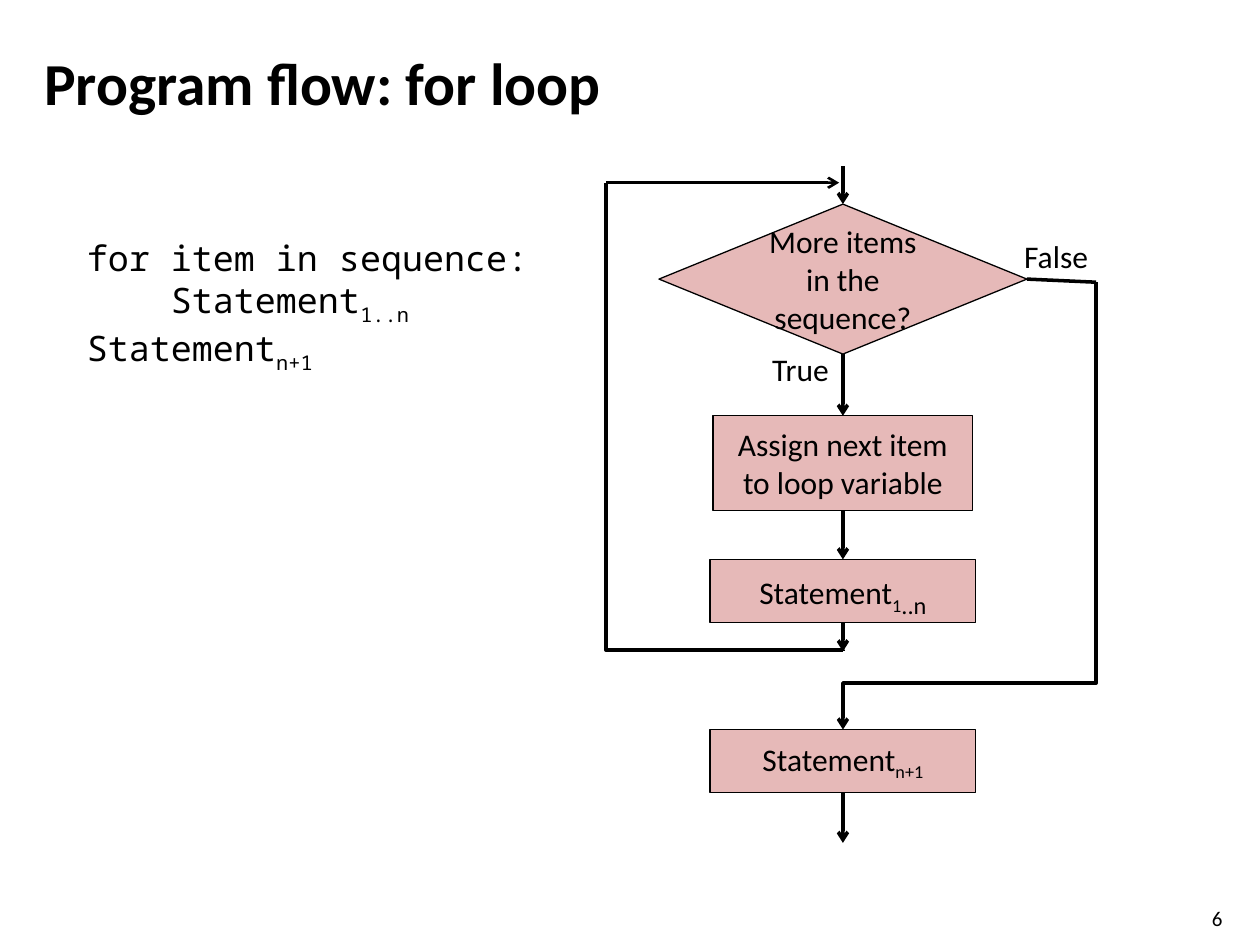
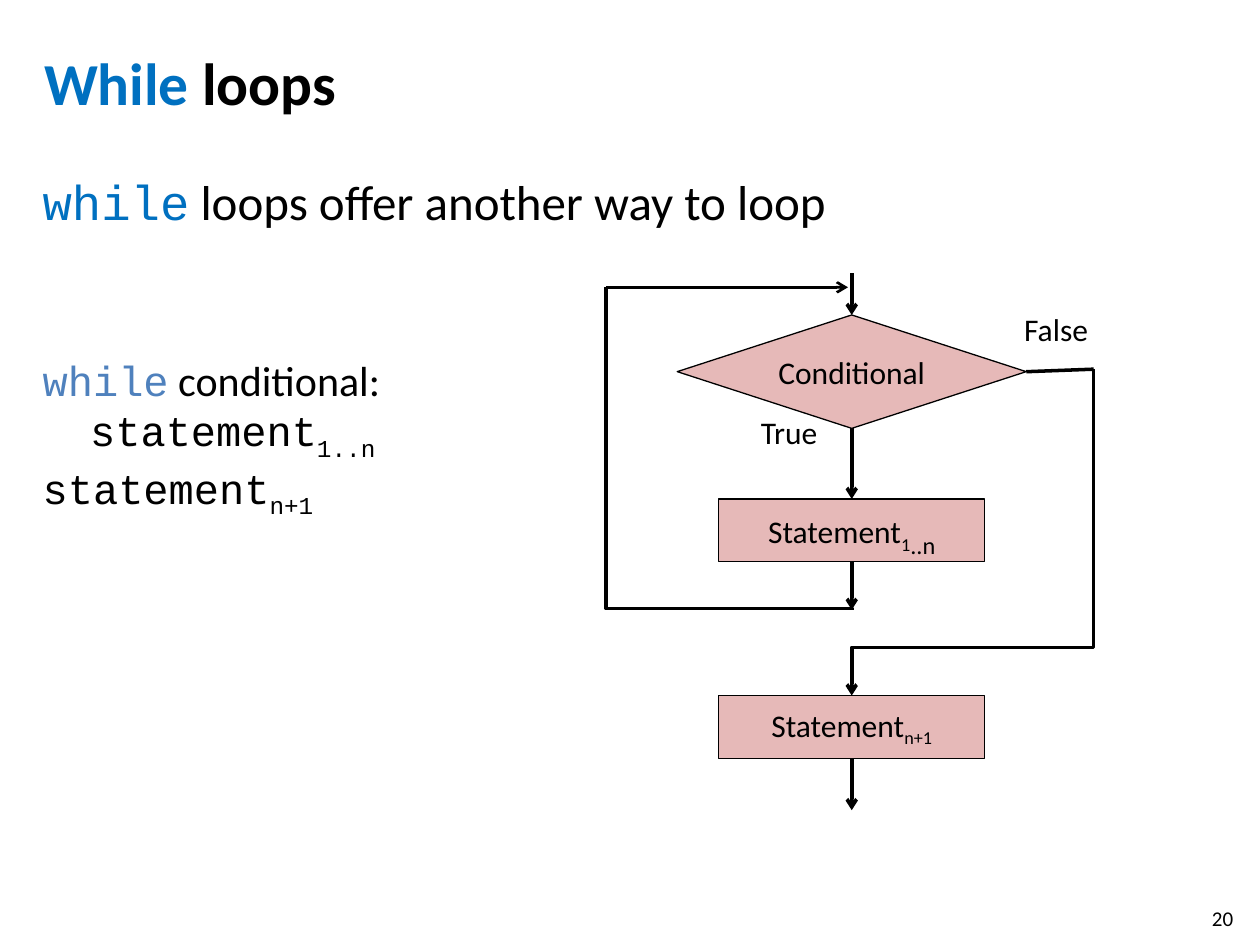
from dataclasses import dataclass

from lxml import etree
from pptx import Presentation
from pptx.dml.color import RGBColor
from pptx.enum.shapes import MSO_CONNECTOR, MSO_SHAPE
from pptx.enum.text import MSO_ANCHOR, PP_ALIGN
from pptx.oxml.ns import qn
from pptx.util import Inches, Pt

STRAIGHT, ELBOW = MSO_CONNECTOR.STRAIGHT, MSO_CONNECTOR.ELBOW
BOX, DECISION = MSO_SHAPE.RECTANGLE, MSO_SHAPE.FLOWCHART_DECISION
MIDDLE = MSO_ANCHOR.MIDDLE
LEFT, CENTER = PP_ALIGN.LEFT, PP_ALIGN.CENTER
TOP_SIDE, BOTTOM_SIDE, RIGHT_SIDE = 0, 2, 3
TITLE_ONLY = 5


@dataclass(frozen=True)
class Theme:
    ink: RGBColor = RGBColor(0, 0, 0)
    step_fill: RGBColor = RGBColor(0xE6, 0xB9, 0xB8)
    keyword: RGBColor = RGBColor(0x00, 0x70, 0xC0)
    code_keyword: RGBColor = RGBColor(0x4F, 0x81, 0xBD)
    font: str = "Calibri"
    code_font: str = "Noto Sans Mono"
    typewriter: str = "Courier New"
    title: int = 34
    lead: int = 28
    syntax: int = 24
    code: int = 20
    step: int = 18
    large_subscript: int = 24
    page_number: int = 12
    outline: float = 0.75
    return_arrow: float = 1.5
    flow: float = 2


THEME = Theme()


@dataclass(frozen=True)
class Part:
    """A piece of a line that differs from the rest of its paragraph."""
    text: str
    color: RGBColor = None
    font: str = None
    size: int = None
    subscript: bool = False


LOOP_STATEMENT = ["Statement", Part("1", subscript=True),
                  Part("..n", size=THEME.large_subscript, subscript=True)]
NEXT_STATEMENT = ["Statement", Part("n+1", subscript=True)]


# Text
def write_line(paragraph, parts, size, font=THEME.font, bold=False, align=LEFT):
    paragraph.alignment = align
    paragraph.font.name = font
    paragraph.font.size = Pt(size)
    paragraph.font.bold = bold
    paragraph.font.color.rgb = THEME.ink
    for part in parts:
        if isinstance(part, str):
            part = Part(part)
        run = paragraph.add_run()
        run.text = part.text
        if part.color is not None:
            run.font.color.rgb = part.color
        if part.font:
            run.font.name = part.font
        if part.size:
            run.font.size = Pt(part.size)
        if part.subscript:
            run._r.get_or_add_rPr().set("baseline", "-25000")


def add_text(slide, left, top, width, height, lines, size, font=THEME.font):
    box = slide.shapes.add_textbox(Inches(left), Inches(top), Inches(width), Inches(height))
    frame = box.text_frame
    frame.word_wrap = True
    for index, parts in enumerate(lines):
        paragraph = frame.add_paragraph() if index else frame.paragraphs[0]
        write_line(paragraph, parts, size, font)
    return frame


def add_titled_slide(presentation, title_parts, number):
    slide = presentation.slides.add_slide(presentation.slide_layouts[TITLE_ONLY])
    title = slide.shapes.title
    title.left, title.top = Inches(0.25), Inches(0.3)
    title.width, title.height = Inches(8.67), Inches(0.7)
    title.text_frame.vertical_anchor = MIDDLE
    write_line(title.text_frame.paragraphs[0], title_parts, THEME.title, bold=True)
    add_text(slide, 9.52, 7.14, 0.4, 0.24, [[number]], THEME.page_number)
    return slide


# Flowchart elements
def add_step(slide, kind, center, top, width, height, parts):
    step = slide.shapes.add_shape(kind, Inches(center - width / 2), Inches(top),
                                  Inches(width), Inches(height))
    step.shadow.inherit = False
    step.fill.solid()
    step.fill.fore_color.rgb = THEME.step_fill
    step.line.color.rgb = THEME.ink
    step.line.width = Pt(THEME.outline)
    step.text_frame.word_wrap = True
    step.text_frame.vertical_anchor = MIDDLE
    write_line(step.text_frame.paragraphs[0], parts, THEME.step, align=CENTER)
    return step


def style_connector(connector, weight, arrow):
    connector.line.color.rgb = THEME.ink
    connector.line.width = Pt(weight)
    if arrow:
        line = connector.line._get_or_add_ln()
        etree.SubElement(line, qn("a:tailEnd"), type="arrow")
    etree.SubElement(connector._element.spPr, qn("a:effectLst"))


def add_line(slide, start, end, weight=THEME.flow, arrow=True, source=None, target=None):
    """Straight line; source and target are (shape, side) pairs to join."""
    connector = slide.shapes.add_connector(STRAIGHT, *map(Inches, start + end))
    if source:
        connector.begin_connect(*source)
    if target:
        connector.end_connect(*target)
    style_connector(connector, weight, arrow)


def add_elbow(slide, start, turn, end, arrow):
    """Leftward route: vertical to the height turn, across, then vertical."""
    (x1, y1), (x2, y2) = start, end
    middle_x, middle_y = (x1 + x2) / 2, (y1 + y2) / 2
    half_run, half_rise = abs(y2 - y1) / 2, abs(x2 - x1) / 2
    upward = y2 < y1
    if upward:
        half_rise = -half_rise  # swapped ends flip the connector vertically
    connector = slide.shapes.add_connector(
        ELBOW, Inches(middle_x - half_run), Inches(middle_y - half_rise),
        Inches(middle_x + half_run), Inches(middle_y + half_rise))
    connector.rotation = 270 if upward else 90
    adjustments = connector._element.spPr.find(qn("a:prstGeom")).get_or_add_avLst()
    share = round((turn - y1) / (y2 - y1) * 100000)
    etree.SubElement(adjustments, qn("a:gd"), name="adj1", fmla=f"val {share}")
    style_connector(connector, THEME.flow, arrow)


@dataclass(frozen=True)
class LoopFlow:
    """Places in inches of one loop's flowchart."""
    center: float
    entry: float
    question: str
    decision: tuple  # top, width, height
    steps: list      # (top, width, height, parts) inside the loop
    next_top: float
    loop_bottom: float
    return_height: float
    exit_corner: tuple
    exit_turn: float
    end: float
    true_label: tuple
    false_top: float


def draw_loop(slide, flow):
    center, loop_left = flow.center, 4.81
    decision = add_step(slide, DECISION, center, *flow.decision, [flow.question])
    steps = [add_step(slide, BOX, center, *step) for step in flow.steps]
    following = add_step(slide, BOX, center, flow.next_top, 2.11, 0.5, NEXT_STATEMENT)
    middle = (center, flow.next_top)

    # Downward path through the loop
    add_line(slide, (center, flow.entry), middle, target=(decision, TOP_SIDE))
    chain = [decision] + steps
    for upper, lower in zip(chain, steps):
        add_line(slide, middle, middle, source=(upper, BOTTOM_SIDE), target=(lower, TOP_SIDE))
    loop_end = (center, flow.loop_bottom)
    add_line(slide, middle, loop_end, source=(steps[-1], BOTTOM_SIDE))

    # Way back to the question
    add_elbow(slide, loop_end, flow.loop_bottom - 0.01, (loop_left, flow.return_height), False)
    add_line(slide, (loop_left, flow.return_height), (center - 0.03, flow.return_height),
             weight=THEME.return_arrow)

    # Way out of the loop
    add_line(slide, middle, flow.exit_corner, arrow=False, source=(decision, RIGHT_SIDE))
    add_elbow(slide, flow.exit_corner, flow.exit_turn, middle, True)
    add_line(slide, middle, (center, flow.end), source=(following, BOTTOM_SIDE))

    # Branch labels
    add_text(slide, *flow.true_label, 1.08, 0.4, [["True"]], THEME.step)
    add_text(slide, 8.03, flow.false_top, 1.08, 0.4, [["False"]], THEME.step)


# Slides
def build_for_slide(presentation):
    slide = add_titled_slide(presentation, ["Program flow: for loop"], "6")
    add_text(slide, 0.59, 1.83, 4.41, 1.62, [
        ["for item in sequence:"],
        ["    Statement", Part("1..n", subscript=True)],
        NEXT_STATEMENT,
    ], THEME.code, THEME.code_font)
    draw_loop(slide, LoopFlow(
        center=6.69, entry=1.32, question="More items in the sequence?",
        decision=(1.62, 2.92, 1.19),
        steps=[(3.3, 2.06, 0.75, ["Assign next item to loop variable"]),
               (4.44, 2.11, 0.5, LOOP_STATEMENT)],
        next_top=5.79, loop_bottom=5.17, return_height=1.45,
        exit_corner=(8.7, 2.24), exit_turn=5.42, end=6.69,
        true_label=(6.03, 2.73), false_top=1.83))


def build_while_slide(presentation):
    slide = add_titled_slide(
        presentation, [Part("While", color=THEME.keyword), " loops"], "20")
    frame = add_text(slide, 0.24, 1.31, 9.25, 4.93, [
        [Part("while", THEME.keyword, THEME.typewriter, THEME.lead),
         Part(" loops offer another way to loop", size=THEME.lead)],
        [Part("while", THEME.code_keyword, THEME.typewriter), " conditional:"],
        ["     ", Part("statement", font=THEME.typewriter),
         Part("1..n", font=THEME.typewriter, subscript=True)],
        [Part("statement", font=THEME.typewriter),
         Part("n+1", font=THEME.typewriter, subscript=True)],
    ], THEME.syntax)
    frame.paragraphs[0].space_after = Pt(71)
    draw_loop(slide, LoopFlow(
        center=6.76, entry=2.17, question="Conditional",
        decision=(2.5, 2.77, 0.9),
        steps=[(3.96, 2.11, 0.5, LOOP_STATEMENT)],
        next_top=5.52, loop_bottom=4.84, return_height=2.28,
        exit_corner=(8.68, 2.93), exit_turn=5.14, end=6.43,
        true_label=(5.94, 3.23), false_top=2.41))


def main():
    presentation = Presentation()
    presentation.slide_width, presentation.slide_height = Inches(10), Inches(7.5)
    build_for_slide(presentation)
    build_while_slide(presentation)
    presentation.save("out.pptx")


if __name__ == "__main__":
    main()
